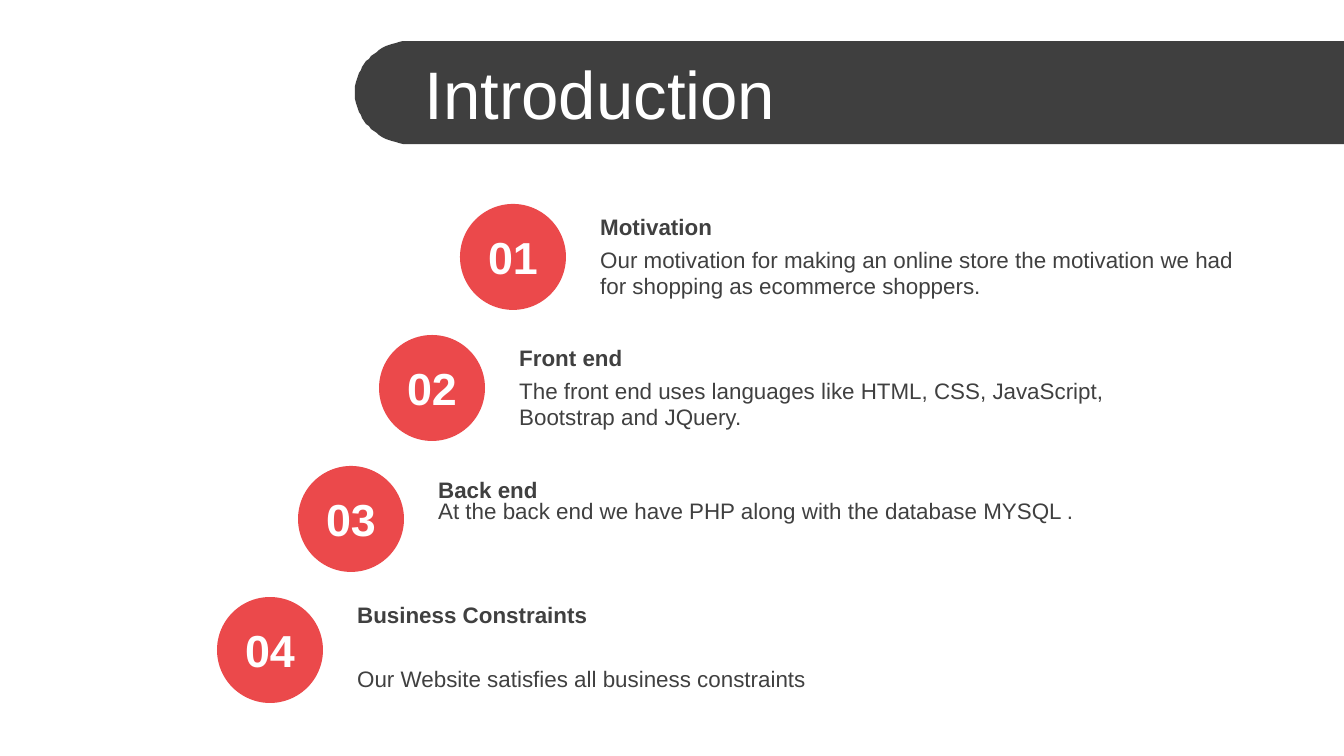
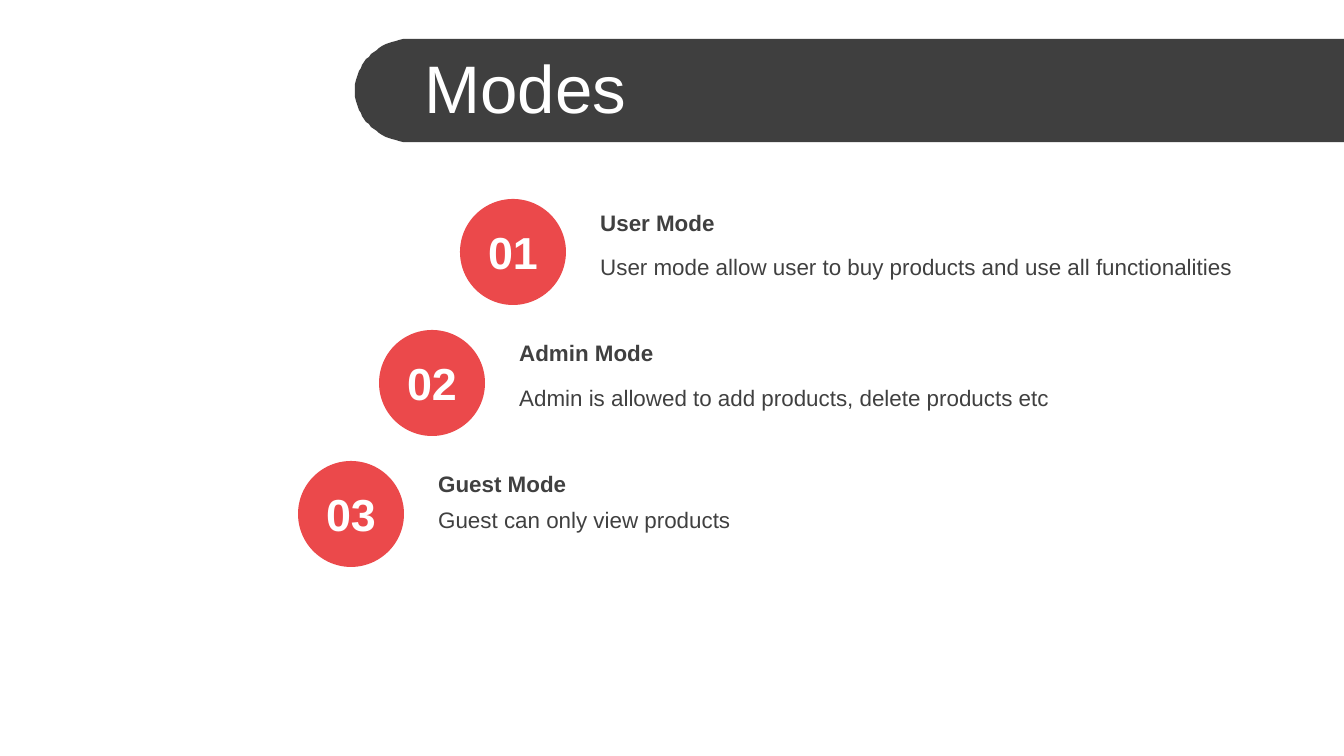
"""Build two slides of numbered steps that descend to the left under a dark title band."""
import math
from dataclasses import dataclass

import pptx
import pptx.dml.color
import pptx.enum.shapes
import pptx.enum.text
import pptx.util

SLIDE_WIDTH, SLIDE_HEIGHT = 1344, 756
EMU_PER_PX = 9144000 / SLIDE_WIDTH
FONT = "Arial"
WHITE, BAND_GREY, TEXT_GREY, RED = "FFFFFF", "3F3F3F", "404040", "EB494B"

BAND_LEFT, BAND_HEIGHT, CAP_WIDTH, CAP_SEGMENTS = 355, 103, 55, 48
TITLE_LEFT, TITLE_HEIGHT = 411, 85
BADGE_LEFT, BADGE_SIZE = 460, 106
STEP_LEFT, STEP_DOWN = 81, 131
NUMBER_DROP, NUMBER_HEIGHT = 19, 67
TEXT_SHIFT, TEXT_WIDTH, LINE_HEIGHT = 127, 677, 40


@dataclass(frozen=True)
class Step:
    heading: str
    detail: str
    detail_drop: int
    heading_drop: int = 3
    detail_height: int = LINE_HEIGHT


@dataclass(frozen=True)
class Topic:
    title: str
    band_top: int
    title_top: int
    first_badge_top: int
    steps: tuple[Step, ...]


TOPICS = (
    Topic("Introduction", 41, 50, 204, (
        Step("Motivation",
             "Our motivation for making an online store the motivation we had "
             "for shopping as ecommerce shoppers.", 35, detail_height=67),
        Step("Front end",
             "The front end uses languages like HTML, CSS, JavaScript, "
             "Bootstrap and JQuery.", 35, detail_height=67),
        Step("Back end",
             "At the back end we have PHP along with the database MYSQL .", 25),
        Step("Business Constraints",
             "Our Website satisfies all business constraints", 62, heading_drop=-2),
    )),
    Topic("Modes", 39, 44, 199, (
        Step("User Mode",
             "User mode allow user to buy products and use all functionalities", 48),
        Step("Admin Mode",
             "Admin is allowed to add products, delete products etc", 48),
        Step("Guest Mode", "Guest can only view products", 38),
    )),
)


def px(length: int) -> pptx.util.Emu:
    return pptx.util.Emu(round(length * EMU_PER_PX))


def rgb(color: str) -> pptx.dml.color.RGBColor:
    return pptx.dml.color.RGBColor.from_string(color)


def paint(shape, color: str) -> None:
    shape.fill.solid()
    shape.fill.fore_color.rgb = rgb(color)
    shape.line.fill.background()
    shape.shadow.inherit = False


def write(shape, text: str, *, size: int = 12, color: str = TEXT_GREY,
          bold: bool = False, centered: bool = False, grow: bool = True) -> None:
    frame = shape.text_frame
    frame.text = text
    frame.word_wrap = True
    frame.vertical_anchor = pptx.enum.text.MSO_ANCHOR.MIDDLE
    sizing = pptx.enum.text.MSO_AUTO_SIZE
    frame.auto_size = sizing.SHAPE_TO_FIT_TEXT if grow else sizing.NONE
    paragraph = frame.paragraphs[0]
    alignment = pptx.enum.text.PP_ALIGN
    paragraph.alignment = alignment.CENTER if centered else alignment.LEFT
    font = paragraph.runs[0].font
    font.name, font.size, font.bold = FONT, pptx.util.Pt(size), bold
    font.color.rgb = rgb(color)


def add_title_band(slide, topic: Topic) -> None:
    radius = BAND_HEIGHT / 2
    cap_center = BAND_LEFT + CAP_WIDTH
    angles = [math.pi * i / CAP_SEGMENTS for i in range(CAP_SEGMENTS + 1)]
    cap = [(cap_center - CAP_WIDTH * math.sin(a),
            topic.band_top + radius * (1 + math.cos(a))) for a in angles]
    outline = slide.shapes.build_freeform(SLIDE_WIDTH, topic.band_top, scale=EMU_PER_PX)
    outline.add_line_segments([(SLIDE_WIDTH, topic.band_top + BAND_HEIGHT), *cap])
    band = outline.convert_to_shape()
    paint(band, BAND_GREY)

    title = slide.shapes.title
    title.left, title.top = px(TITLE_LEFT), px(topic.title_top)
    title.width, title.height = px(SLIDE_WIDTH - TITLE_LEFT), px(TITLE_HEIGHT)
    write(title, topic.title, size=36, color=WHITE, grow=False)
    title.element.addprevious(band.element)


def add_step(slide, step: Step, index: int, first_top: int) -> None:
    left = BADGE_LEFT - index * STEP_LEFT
    top = first_top + index * STEP_DOWN
    text_left = px(left + TEXT_SHIFT)
    shapes = slide.shapes
    badge = shapes.add_shape(pptx.enum.shapes.MSO_SHAPE.OVAL, px(left), px(top),
                             px(BADGE_SIZE), px(BADGE_SIZE))
    paint(badge, RED)
    detail = shapes.add_textbox(text_left, px(top + step.detail_drop),
                                px(TEXT_WIDTH), px(step.detail_height))
    write(detail, step.detail)
    heading = shapes.add_textbox(text_left, px(top + step.heading_drop),
                                 px(TEXT_WIDTH), px(LINE_HEIGHT))
    write(heading, step.heading, bold=True)
    number = shapes.add_textbox(px(left), px(top + NUMBER_DROP),
                                px(BADGE_SIZE), px(NUMBER_HEIGHT))
    write(number, f"{index + 1:02d}", size=24, color=WHITE, bold=True, centered=True)


def main() -> None:
    deck = pptx.Presentation()
    deck.slide_width, deck.slide_height = px(SLIDE_WIDTH), px(SLIDE_HEIGHT)
    title_only = deck.slide_layouts.get_by_name("Title Only")
    for topic in TOPICS:
        slide = deck.slides.add_slide(title_only)
        add_title_band(slide, topic)
        for index, step in enumerate(topic.steps):
            add_step(slide, step, index, topic.first_badge_top)
    deck.save("out.pptx")


if __name__ == "__main__":
    main()
